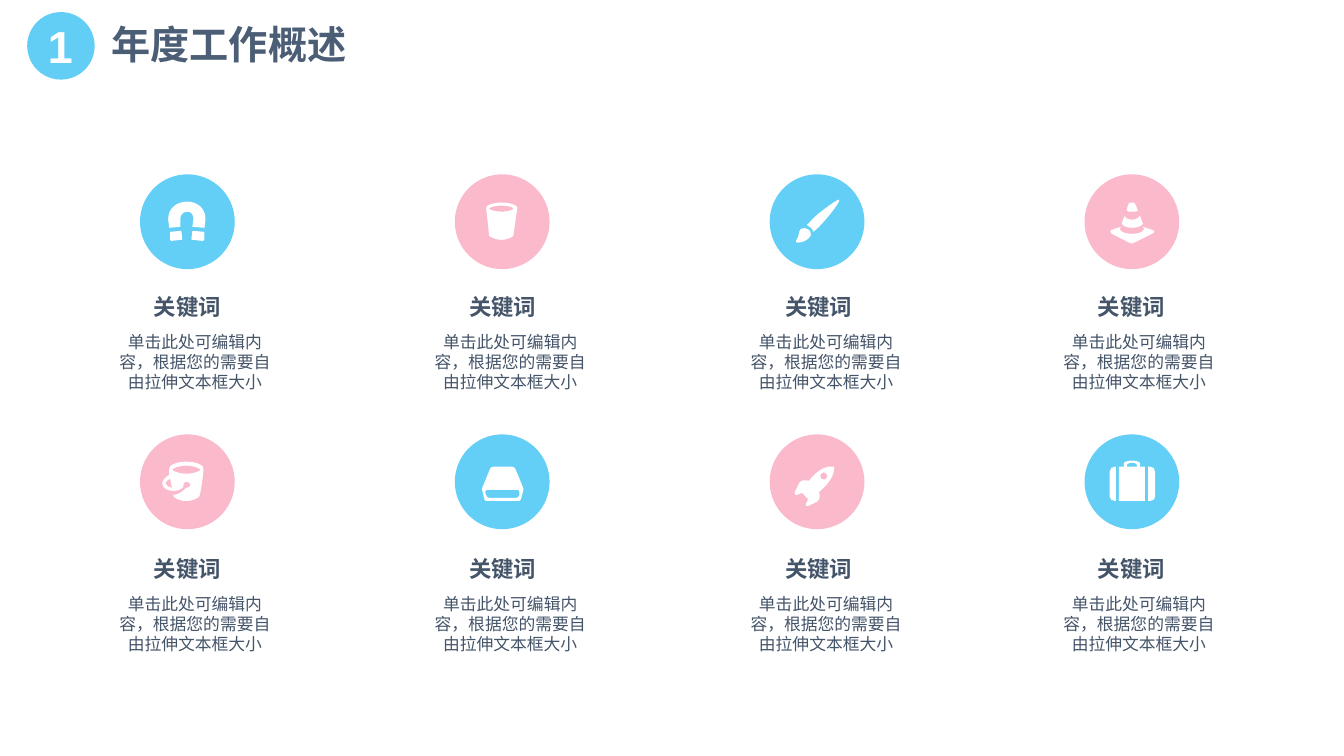
from lxml.etree import SubElement
from pptx import Presentation
from pptx.dml.color import RGBColor as Rgb
from pptx.enum.shapes import MSO_SHAPE as Preset
from pptx.enum.text import MSO_AUTO_SIZE as AutoSize, PP_ALIGN as Align
from pptx.oxml.ns import qn
from pptx.util import Inches, Pt

COLORS = {"blue": "63CFF6", "pink": "FBB9CC", "badge": "00B0F0",
          "white": "FFFFFF", "text": "445469", "heading": "4B5E75"}
FORMATS = {
    "number": {"size": Pt(32), "bold": True, "color": "white"},
    "heading": {"size": Pt(28), "bold": True, "color": "heading"},
    "keyword": {"size": Pt(16), "bold": True, "color": "text"},
    "body": {"size": Pt(12), "bold": False, "color": "text"},
}
BODY = "单击此处可编辑内容，根据您的需要自由拉伸文本框大小"
TEXT_COLUMNS = [5.8, 37.1, 68.45, 99.5]

MAGNET = [
    "4 17, 4 18 5 18 6 18, 15 19, 16 19 16 18 17 18, 17 10, 5 9",
    "-17 10, -17 18, -17 18 -17 19 -16 19, -7 18, -6 18 -5 18 -5 17, -6 9",
    "-19 -2, -18 6, -7 5, -7 -3, -7 -7 -4 -10 0 -10, 4 -10 6 -7 6 -3, 5 5, "
    "17 6, 18 -2, 18 -3, 18 -13 10 -20 0 -20, -11 -20 -19 -13 -19 -3",
]
CUP = [
    "-1 -19, -10 -19 -16 -16 -16 -14, -13 14, -13 14 -8 18 -1 18, "
    "7 18 11 14 11 14, 15 -14, 15 -16 9 -19 -1 -19",
    "-1 -10, -8 -10 -13 -12 -13 -13, -13 -14 -8 -16 -1 -16, "
    "7 -16 11 -14 11 -13, 11 -12 7 -10 -1 -10",
]
BRUSH = [
    "-16 7, -19 10 -17 14 -21 19, -23 22 -12 21 -8 16, -5 14 -6 10 -8 8, "
    "-11 6 -14 6 -16 7",
    "22 -22, 21 -23 0 -8 -5 -2, -8 1 -8 2 -10 3, -10 4 -9 4 -9 4, "
    "-8 5 -8 5 -6 6, -5 7 -4 8 -4 9, -4 10, -2 9 0 7 2 5, 8 -1 24 -20 22 -22",
]
CONE = [
    "0 6, 6 6 10 4 11 2, 10 -1 9 -3 8 -6, 7 -4 4 -2 0 -2, -4 -2 -7 -4 -7 -6, "
    "-9 -3 -9 -1 -10 2, -9 4 -5 6 0 6",
    "0 -10, 3 -10 5 -10 6 -11, 5 -14 4 -16 3 -18, 3 -19 2 -19 0 -19, "
    "-1 -19 -3 -19 -3 -18, -4 -16 -5 -14 -5 -11, -5 -10 -2 -10 0 -10",
    "20 8, 11 5, 12 7, 12 10 7 12 0 12, -6 12 -12 10 -12 7, -11 5, -20 8, "
    "-22 9 -22 10 -20 12, -4 20, -1 22 2 22 4 20, 20 12, 23 10 23 9 20 8",
]
MUG = [
    "-1 -20, -12 -20 -19 -16 -18 -12, -18 -7, -23 -4 -25 -1 -25 2, "
    "-24 5 -22 9 -14 9, -11 9 -6 8 -4 5, -4 3, -4 1 -2 0 -1 0, 1 0 3 1 3 3, "
    "3 5 1 6 -1 6, -5 10 -10 13 -14 13, -14 14, -14 15 -9 19 -1 19, "
    "7 19 12 15 12 14, 13 13 16 -9 16 -12, 17 -16 10 -20 -1 -20",
    "-22 1, -22 1 -20 -2 -17 -3, -17 0 -16 3 -15 6, -19 5 -21 4 -22 1",
    "-1 -8, -9 -8 -15 -11 -15 -12, -15 -13 -9 -16 -1 -16, "
    "7 -16 13 -13 13 -12, 13 -11 7 -8 -1 -8",
]
DRIVE = [
    "20 4, 13 -13, 13 -14 11 -15 9 -15, -8 -15, -10 -15 -12 -14 -12 -13, "
    "-19 4, -20 5 -20 8 -20 8, -18 16, -18 18 -17 19 -16 19, 17 19, "
    "17 19 19 18 19 16, 21 8, 21 8 21 5 20 4",
    "17 10, 17 13, 17 15 15 16 14 16, -13 16, -14 16 -16 15 -16 13, -17 10, "
    "-17 9 -16 8 -14 8, 15 8, 17 8 17 9 17 10",
]
ROCKET = [
    "2 10, 2 10 18 -2 17 -15, 16 -15, 3 -17 -8 -1 -8 -1, -18 -3 -17 0 -22 10, "
    "-23 13 -21 13 -20 13, -18 12 -15 11 -15 11, -9 17, -9 17 -10 20 -11 22, "
    "-12 23 -11 25 -9 24, 1 19 4 20 2 10",
    "4 -3, 3 -5 3 -7 4 -8, 6 -10 8 -10 9 -8, 11 -7 11 -5 9 -3, 8 -2 6 -2 4 -3",
]
SUITCASE = [
    "18 -15, 16 -15, 16 19, 18 19, 21 19 23 17 23 15, 23 -10, 23 -13 21 -15 18 -15",
    "-22 -10, -22 15, -22 17 -20 19 -17 19, -16 19, -16 -15, -17 -15, "
    "-20 -15 -22 -13 -22 -10",
    "8 -19, 7 -20 4 -21 0 -21, -4 -21 -6 -20 -8 -19, -8 -15, -13 -15, -13 19, "
    "13 19, 13 -15, 8 -15",
    "5 -15, -5 -15, -5 -17, -4 -18 -2 -19 0 -19, 3 -19 4 -18 5 -17",
]
ICON_ROWS = [[MAGNET, CUP, BRUSH, CONE], [MUG, DRIVE, ROCKET, SUITCASE]]


class Deck:
    """Slide style on a grid of tenths of an inch, 133.4 columns by 75 rows."""

    def __init__(self):
        self.file = Presentation()
        self.file.slide_width = self.grid(133.4)
        self.file.slide_height = self.grid(75)
        self.shapes = self.file.slides.add_slide(self.file.slide_layouts[6]).shapes

    def grid(self, cells):
        return Inches(cells / 10)

    def paint(self, shape, color):
        shape.shadow.inherit = False
        shape.fill.solid()
        shape.fill.fore_color.rgb = Rgb.from_string(COLORS[color])
        shape.line.fill.background()

    def circle(self, col, row, width, height, color, alpha=None):
        disc = self.shapes.add_shape(Preset.OVAL, *map(self.grid, (col, row, width, height)))
        self.paint(disc, color)
        if alpha:
            tint = disc.fill._xPr.find(".//" + qn("a:srgbClr"))
            SubElement(tint, qn("a:alpha"), val=str(alpha * 1000))

    def segments(self, col, row, contour):
        """List each segment's points: one for a line, three for a curve."""
        for segment in contour.split(", "):
            numbers = [int(n) / 10 for n in segment.split()]
            yield [(self.grid(col + x), self.grid(row + y))
                   for x, y in zip(numbers[::2], numbers[1::2])]

    def icon(self, col, row, contours):
        builder, strokes = None, []
        for contour in contours:
            (start,), *rest = self.segments(col, row, contour)
            if builder is None:
                builder = self.shapes.build_freeform(*start)
            else:
                builder.move_to(*start)
            builder.add_line_segments([points[-1] for points in rest], close=True)
            strokes += rest
        drawing = builder.convert_to_shape()
        self.paint(drawing, "white")
        for line, points in zip(list(drawing._element.iter(qn("a:lnTo"))), strokes):
            if len(points) == 3:
                line.tag = qn("a:cubicBezTo")
                line.remove(line[0])
                for x, y in points:
                    SubElement(line, qn("a:pt"), x=str(x - drawing.left), y=str(y - drawing.top))

    def text(self, col, row, width, height, words, style, align=Align.CENTER, inset=(0, 0)):
        frame = self.shapes.add_textbox(*map(self.grid, (col, row, width, height))).text_frame
        across, down = map(self.grid, inset)
        settings = {"word_wrap": True, "auto_size": AutoSize.SHAPE_TO_FIT_TEXT,
                    "margin_left": across, "margin_right": across,
                    "margin_top": down, "margin_bottom": down}
        for name, value in settings.items():
            setattr(frame, name, value)
        paragraph = frame.paragraphs[0]
        paragraph.alignment = align
        paragraph._p.get_or_add_pPr().set("hangingPunct", "0")
        run = paragraph.add_run()
        run.text = words
        run.font.name = "Arial"
        for name, value in FORMATS[style].items():
            if name == "color":
                run.font.color.rgb = Rgb.from_string(COLORS[value])
            else:
                setattr(run.font, name, value)


def main():
    deck = Deck()
    for r, icons in enumerate(ICON_ROWS):
        for c, (contours, left) in enumerate(zip(icons, TEXT_COLUMNS)):
            center, middle = 18.6 + 31.25 * c, 22 + 25.8 * r
            deck.circle(center - 4.7, middle - 4.7, 9.4, 9.4, ("blue", "pink")[(r + c) % 2])
            deck.icon(center, middle, contours)
            deck.text(left, 29.1 + 26 * r, 25.6, 2.7, "关键词", "keyword")
            deck.text(left + 6, 32.9 + 26 * r, 15.1, 6, BODY, "body")
    deck.circle(2.7, 1.2, 6.7, 6.7, "badge", alpha=61)
    deck.text(3.4, 1.4, 5.2, 6.4, "1", "number", inset=(1, 0.5))
    deck.text(10.1, 1.5, 36.4, 5.7, "年度工作概述", "heading", Align.LEFT, (1, 0.5))
    deck.file.save("out.pptx")


if __name__ == "__main__":
    main()
